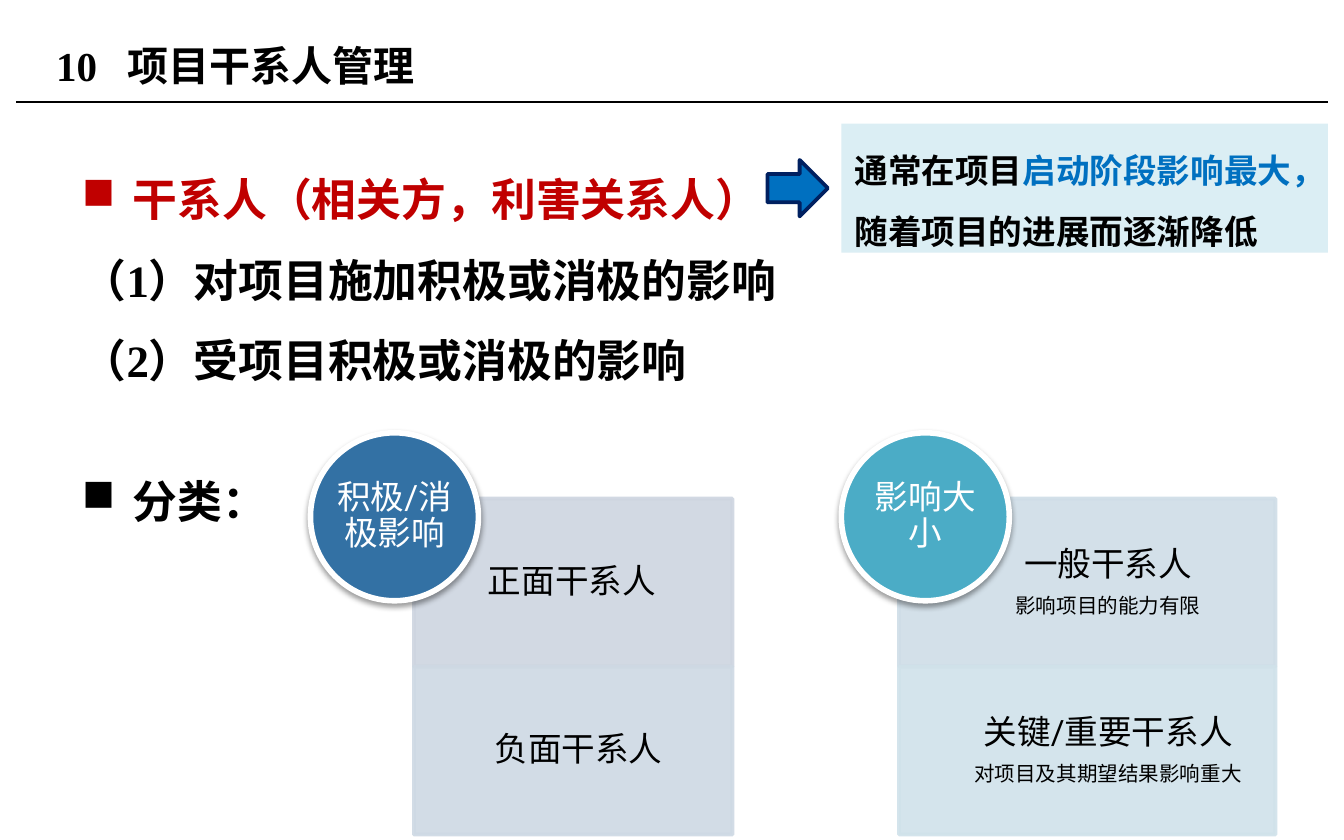
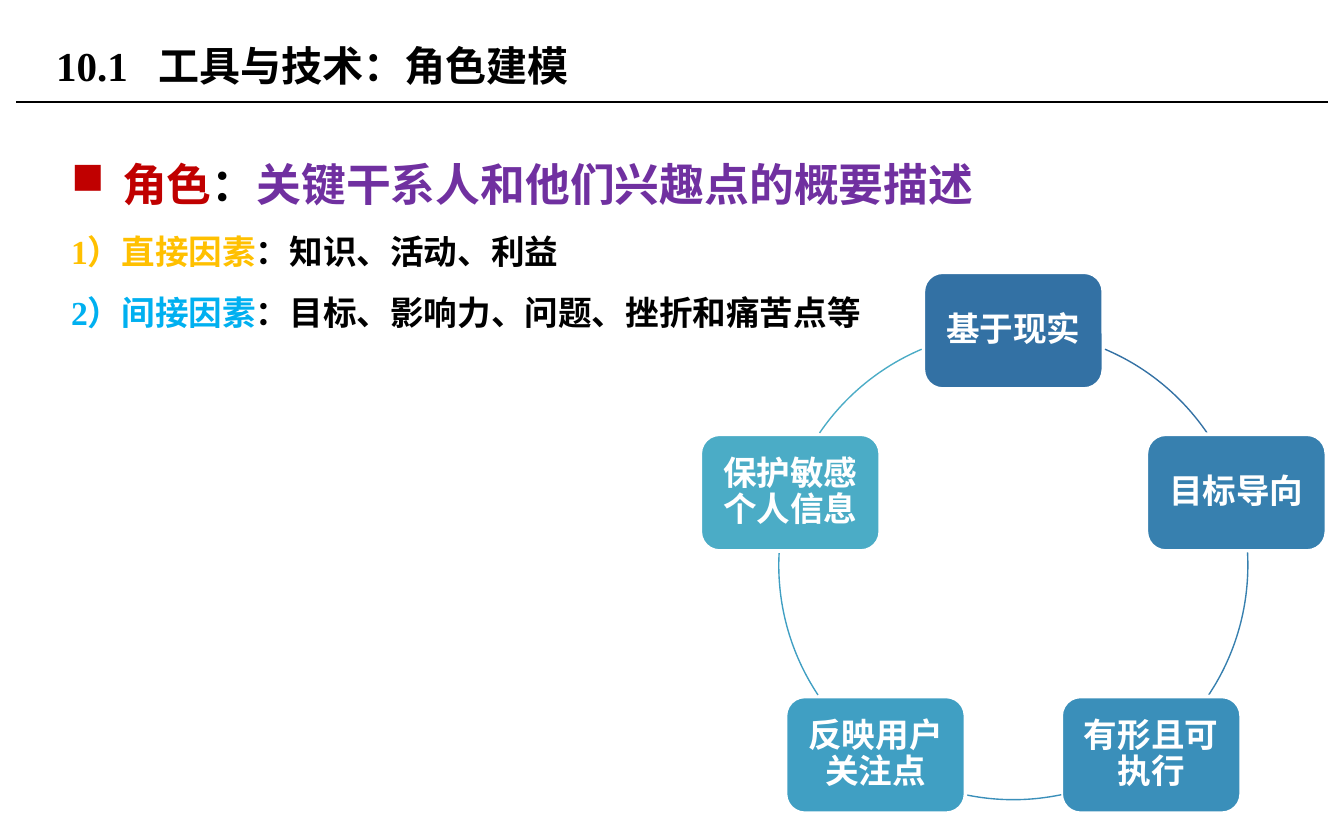
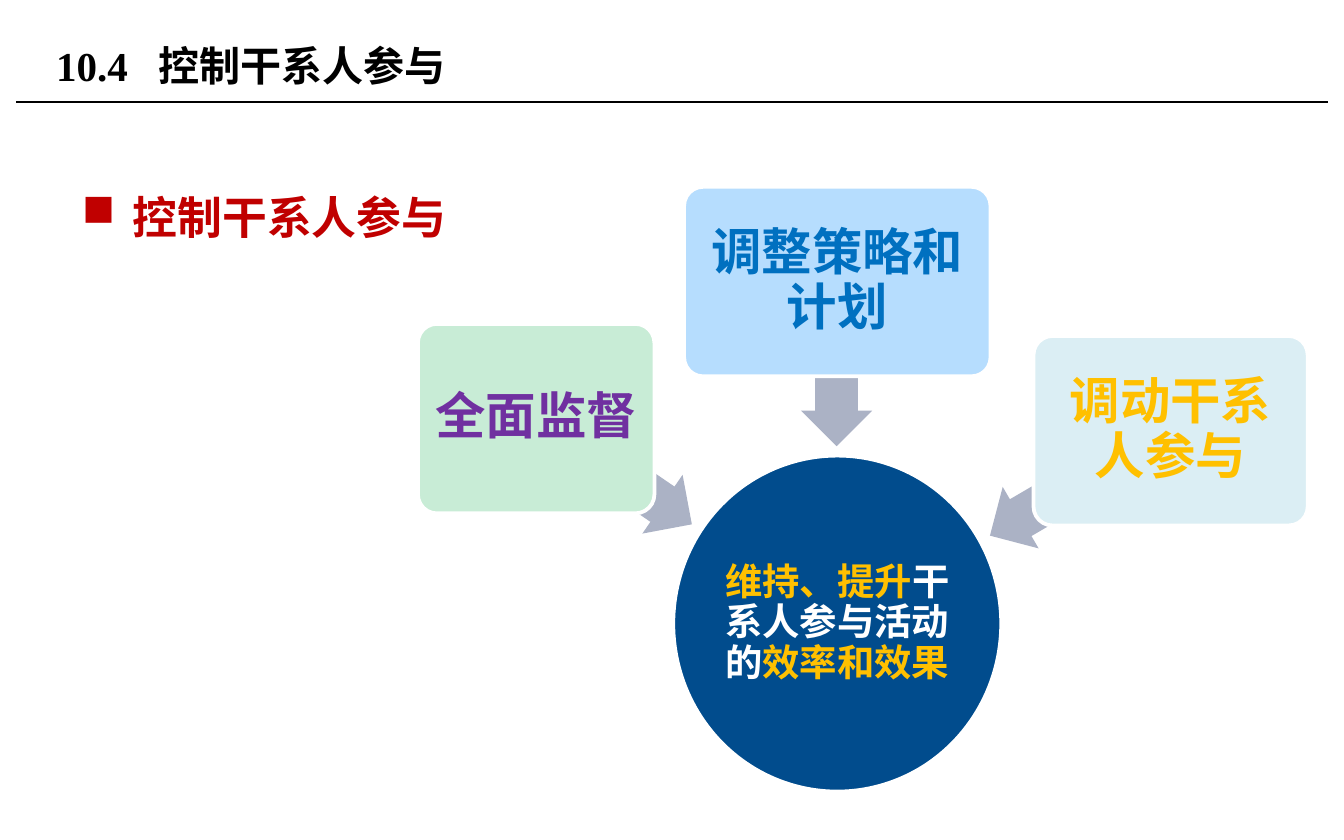
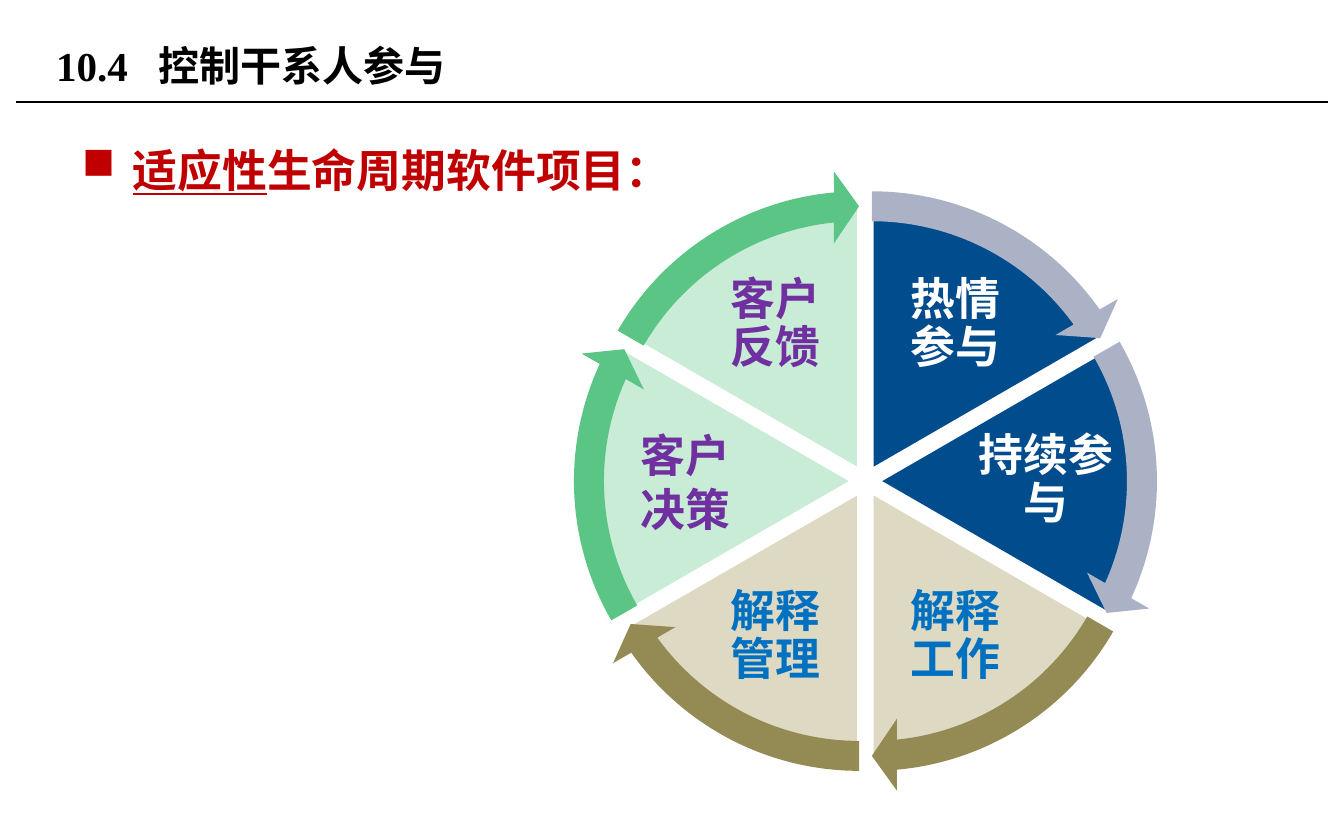
import math

from lxml import etree
from pptx import Presentation
from pptx import util as u
from pptx.dml.color import RGBColor
from pptx.enum import lang, shapes, text
from pptx.oxml.ns import qn

SHAPE = shapes.MSO_SHAPE
CENTER = text.PP_ALIGN.CENTER
TOP = text.MSO_ANCHOR.TOP
MIDDLE = text.MSO_ANCHOR.MIDDLE

COLUMNS = 100
CELL = u.Inches(10) // COLUMNS
SERIF, SANS = "Times New Roman", "Roboto"
BLACK, WHITE = "000000", "FFFFFF"
RED, PURPLE, GOLD, BLUE = "C00000", "7030A0", "FFC000", "0070C0"
SKY, NAVY, MINT, PALE = "00B0F0", "014C8D", "C8ECD6", "DBEEF4"
GREY, SAND, OLIVE, GREEN = "ABB2C5", "DDD9C3", "948A54", "5AC584"
NO_INSET = (0, 0, 0, 0)


def rgb(value):
    return RGBColor.from_string(value)


def cells(n):
    return u.Emu(round(n * CELL))


def add_xml(parent, tag, **attrs):
    return etree.SubElement(parent, qn(tag), {k: str(v) for k, v in attrs.items()})


def paint(fill, color, alpha=100):
    fill.solid()
    fill.fore_color.rgb = rgb(color)
    if alpha < 100:
        node = fill._xPr.find(qn("a:solidFill"))
        add_xml(node[0], "a:alpha", val=alpha * 1000)


def write(tf, content, size=24, color=BLACK, bold=True, font=SERIF, align=None,
          spacing=None, before=None, after=None, indent=None, bullet=False, tab=None):
    p = tf.paragraphs[0]
    if p.runs:
        p = tf.add_paragraph()
    pPr = p._p.get_or_add_pPr()
    if bullet:
        pPr.set("marL", str(cells(3.8)))
        pPr.set("indent", str(-cells(3.8)))
        add_xml(pPr, "a:buChar", char="■")
    elif indent:
        pPr.set("marL", str(cells(indent)))
    if tab:
        add_xml(add_xml(pPr, "a:tabLst"), "a:tab", pos=cells(tab), algn="l")
    p.alignment = align
    p.line_spacing = spacing
    if before:
        p.space_before = u.Pt(before)
    if after:
        p.space_after = u.Pt(after)
    for part, shade, *underline in [(content, color)] if isinstance(content, str) else content:
        r = p.add_run()
        r.text = part
        f = r.font
        f.name, f.size, f.bold = font, u.Pt(size), bold
        f.color.rgb = rgb(shade)
        f.language_id = lang.MSO_LANGUAGE_ID.SIMPLIFIED_CHINESE
        if underline:
            f.underline = True


class Deck:
    def __init__(self):
        self.prs = Presentation()
        self.prs.slide_width = cells(COLUMNS)
        self.prs.slide_height = cells(62.5)
        self.s = None

    def slide(self, number, name, tab=7.6):
        self.s = self.prs.slides.add_slide(self.prs.slide_layouts[6])
        self.rule(1.2, 98.8, 7.6)
        write(self.box(3.2, 1.3, 63.8, 7.1, anchor=MIDDLE), f"{number}\t{name}", size=22, tab=tab)

    def rule(self, x1, x2, y):
        c = self.s.shapes.add_connector(
            shapes.MSO_CONNECTOR.STRAIGHT, cells(x1), cells(y), cells(x2), cells(y))
        c.line.color.rgb = rgb(BLACK)
        c.line.width = u.Pt(0.75)
        add_xml(c._element.spPr, "a:effectLst")

    def frame(self, sp, anchor, inset):
        tf = sp.text_frame
        tf.word_wrap = True
        tf.vertical_anchor = anchor
        tf.margin_left, tf.margin_top, tf.margin_right, tf.margin_bottom = map(cells, inset)
        return tf

    def box(self, x, y, w, h, anchor=TOP, inset=(1, 0.5, 1, 0.5)):
        sp = self.s.shapes.add_textbox(*map(cells, (x, y, w, h)))
        return self.frame(sp, anchor, inset)

    def shape(self, kind, x, y, w, h, fill=None, line=None, weight=2, alpha=100, adj=(),
              turn=0, shadow=False, anchor=MIDDLE, inset=(1, 0.5, 1, 0.5)):
        sp = self.s.shapes.add_shape(kind, *map(cells, (x, y, w, h)))
        sp.shadow.inherit = False
        sp.rotation = turn
        for i, value in enumerate(adj):
            sp.adjustments[i] = value
        if fill:
            paint(sp.fill, fill, alpha)
        else:
            sp.fill.background()
        if line:
            paint(sp.line.fill, line, alpha)
            sp.line.width = u.Pt(weight)
        else:
            sp.line.fill.background()
        if shadow:
            outer = add_xml(sp._element.spPr.find(qn("a:effectLst")), "a:outerShdw",
                            blurRad=u.Pt(3.1), dist=u.Pt(1.6), dir=5400000, rotWithShape=0)
            add_xml(add_xml(outer, "a:srgbClr", val=BLACK), "a:alpha", val=38000)
        return self.frame(sp, anchor, inset)

    def label(self, tf, content, **fmt):
        write(tf, content, **{"align": CENTER, "spacing": 0.9, **fmt})


def angle(degrees):
    return degrees % 360 * 0.6


def around(cx, cy, radius, degrees):
    a = math.radians(degrees)
    return cx + radius * math.cos(a), cy + radius * math.sin(a)


def stakeholders(d):
    d.slide("10", "项目干系人管理", tab=5.3)
    body = d.box(5.1, 10.3, 94.5, 39)
    write(body, "干系人（相关方，利害关系人）", color=RED, spacing=1.5, bullet=True)
    write(body, "（1）对项目施加积极或消极的影响", spacing=1.5)
    write(body, "（2）受项目积极或消极的影响", spacing=1.5)
    write(body, "分类：", spacing=1.5, before=32, bullet=True)

    note = d.shape(SHAPE.RECTANGLE, 62.6, 9.2, 36.2, 9.6, PALE, anchor=TOP)
    write(note, [("通常在项目", BLACK), ("启动阶段影响最大，", BLUE)], size=18, spacing=1.5)
    write(note, "随着项目的进展而逐渐降低", size=18, spacing=1.5)
    d.shape(SHAPE.RIGHT_ARROW, 57.1, 11.9, 4.5, 4.2, BLUE, "002060")

    side = 12.5
    plain = dict(font=SANS, bold=False)
    groups = [
        (30.8, 23.7, 3.8, 23.1, "积极/消极影响", "3371A4",
         [("CED5E0", "正面干系人", 1.7, None), ("CED9E4", "负面干系人", 2.2, None)]),
        (66.9, 28, 4.5, 62.6, "影响大小", "4BACC6",
         [("CFDDE7", "一般干系人", None, "影响项目的能力有限"),
          ("D0E2EA", "关键/重要干系人", None, "对项目及其期望结果影响重大")]),
    ]
    for x, w, left, circle_x, heading, color, rows in groups:
        for i, (fill, kind, indent, detail) in enumerate(rows):
            tf = d.shape(SHAPE.RECTANGLE, x, 37.1 + i * side, w, side, fill, fill,
                         alpha=90, inset=(left, 1.4, 1.4, 1.4))
            d.label(tf, kind, size=18, after=6, indent=indent,
                    align=None if indent else CENTER, **plain)
            if detail:
                d.label(tf, detail, size=11, **plain)
        tf = d.shape(SHAPE.OVAL, circle_x, 32.2, side, side, color, WHITE, 3,
                     shadow=True, inset=NO_INSET)
        d.label(tf, heading, size=18, color=WHITE, **plain)


def personas(d):
    d.slide("10.1", "工具与技术：角色建模")
    body = d.box(4.3, 9.2, 89.8, 39)
    write(body, [("角色", RED), ("：", BLACK), ("关键干系人和他们兴趣点的概要描述", PURPLE)],
          spacing=1.5, bullet=True)
    write(body, [("1）直接因素", GOLD), ("：知识、活动、利益", BLACK)], size=18, spacing=1.5)
    write(body, [("2）间接因素", SKY), ("：目标、影响力、问题、挫折和痛苦点等", BLACK)],
          size=18, spacing=1.5)

    cx, cy, radius, w, h = 75.4, 42.05, 17.45, 13.4, 8.7
    traits = [
        ("基于现实", "3371A4", -67, -34.3),
        ("目标导向", "3780AF", -3.1, 33.6),
        ("有形且可执行", "3A8FBA", 78.2, 101.8),
        ("反映用户关注点", "409FC3", 146.4, 183.1),
        ("保护敏感个人信息", "4BACC6", 214.3, 247),
    ]
    for i, (trait, color, start, end) in enumerate(traits):
        x, y = around(cx, cy, radius, i * 72 - 90)
        tf = d.shape(SHAPE.ROUNDED_RECTANGLE, x - w / 2, y - h / 2, w, h, color, WHITE,
                     inset=(0.7,) * 4)
        d.label(tf, trait, size=18, color=WHITE)
        d.shape(SHAPE.ARC, cx - radius, cy - radius, 2 * radius, 2 * radius, line=color,
                weight=0.75, adj=(angle(start), angle(end)))


def engagement(d):
    d.slide("10.4", "控制干系人参与")
    write(d.box(5.1, 11.6, 89.8, 39), "控制干系人参与", color=RED, spacing=1.5, bullet=True)
    goal = d.shape(SHAPE.OVAL, 50.1, 33.9, 24.4, 25, NAVY, WHITE, inset=(0.1,) * 4)
    d.label(goal, [("维持、提升", GOLD), ("干系人参与活动的", WHITE), ("效率和效果", GOLD)], size=20)

    actions = [
        ("全面监督", PURPLE, MINT, (31.1, 24.1, 17.6), (38.7, 32.4, 14, 214.4)),
        ("调整策略和计划", BLUE, "B6DDFE", (50.9, 13.9, 22.8), (56.1, 24.4, 12.3, 270)),
        ("调动干系人参与", GOLD, PALE, (76.9, 25, 20.4), (72.6, 33.3, 15.5, 329.7)),
    ]
    for action, color, fill, (x, y, w), (ax, ay, length, turn) in actions:
        d.shape(SHAPE.LEFT_ARROW, ax, ay, length, 5.3, GREY, adj=(0.6, 0.5), turn=turn)
        tf = d.shape(SHAPE.ROUNDED_RECTANGLE, x, y, w, 14.1, fill, WHITE, adj=(0.1,),
                     inset=(0.6,) * 4)
        d.label(tf, action, size=27, color=color)


def adaptive(d):
    d.slide("10.4", "控制干系人参与")
    write(d.box(5.1, 8.1, 89.8, 39), [("适应性", RED, True), ("生命周期软件项目：", RED)],
          spacing=1.5, bullet=True)

    cx, cy, pie, ring = 64.4, 35.8, 39.7, 44.6
    sectors = [
        (["热情参与"], WHITE, NAVY, GREY, SANS),
        (["持续参与"], WHITE, NAVY, GREY, SANS),
        (["解释工作"], BLUE, SAND, OLIVE, SERIF),
        (["解释管理"], BLUE, SAND, OLIVE, SERIF),
        (["客户", "决策"], PURPLE, MINT, GREEN, SERIF),
        (["客户反馈"], PURPLE, MINT, GREEN, SERIF),
    ]
    for i, (lines, color, fill, _, font) in enumerate(sectors):
        middle = i * 60 - 60
        x, y = around(cx, cy, 0.95, middle)
        d.shape(SHAPE.PIE, x - pie / 2, y - pie / 2, pie, pie, fill, WHITE,
                adj=(angle(middle - 30), angle(middle + 30)))
        x, y = around(cx, cy, 13.4, middle)
        w, h = (10.9, 7.8) if i % 3 == 1 else (10.4, 8)
        tf = d.box(x - w / 2, y - h / 2, w, h, MIDDLE, (0.3,) * 4)
        for part in lines:
            d.label(tf, part, color=color, font=font, spacing=0.9 if len(lines) == 1 else None)
    for i, (*_, arrow, _) in enumerate(sectors):
        middle = i * 60 - 60
        x, y = around(cx, cy, 0.95, middle)
        head = 5.46
        d.shape(SHAPE.CIRCULAR_ARROW, x - ring / 2, y - ring / 2, ring, ring, arrow,
                adj=(0.05, angle(head), angle(middle + 30 - head), angle(middle - 30), 0.06))


def main():
    d = Deck()
    for build in (stakeholders, personas, engagement, adaptive):
        build(d)
    d.prs.save("out.pptx")


if __name__ == "__main__":
    main()
